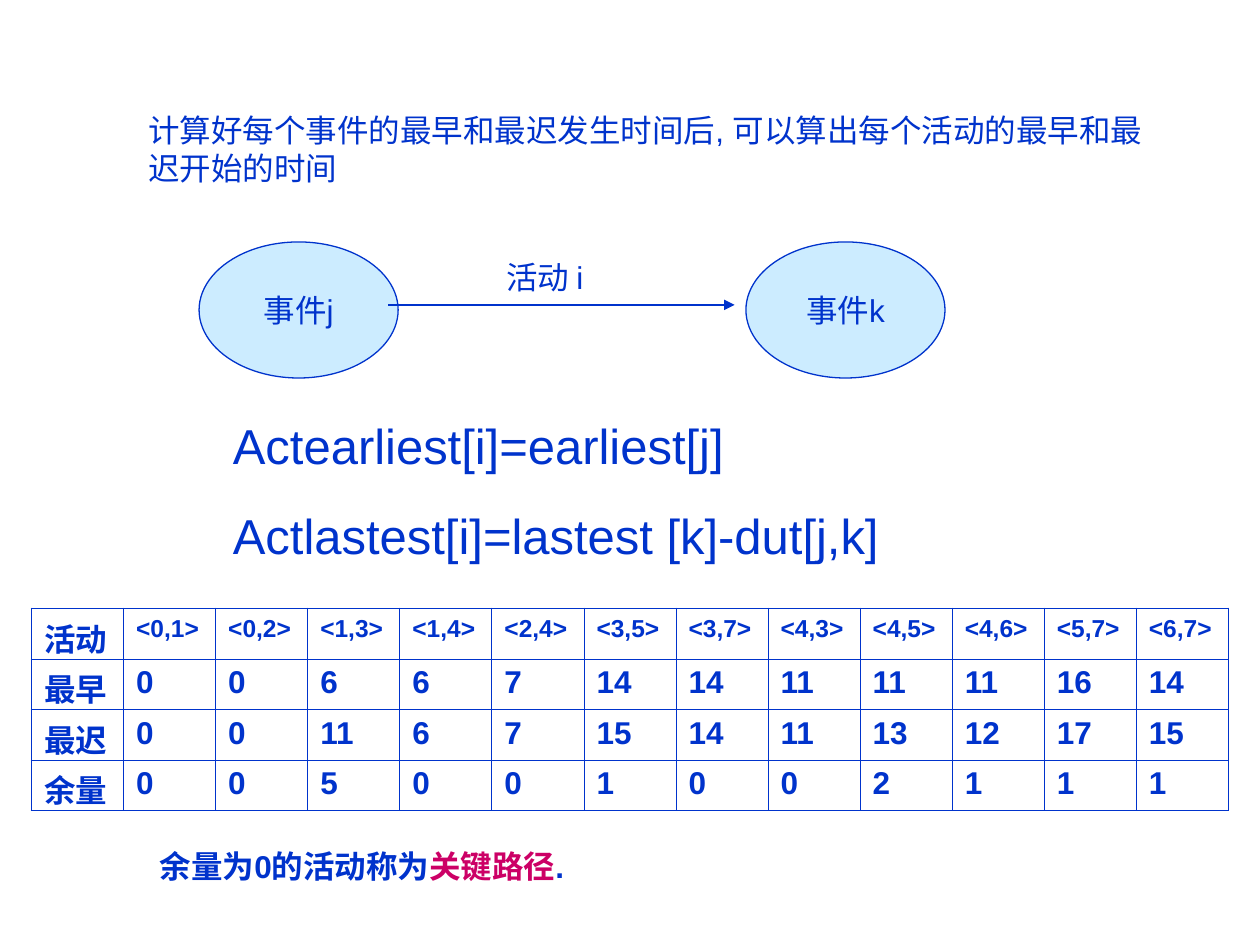
import pptx
import pptx.dml.color
import pptx.enum.shapes
import pptx.enum.text
import pptx.oxml
import pptx.oxml.ns
import pptx.util
from pptx.util import Inches, Pt

BLUE, PALE_BLUE, MAGENTA = "0033CC", "CCECFF", "CC0066"
FONT = "Arial"
THIN, THICK = 0.45, 1.08

# (left, top, width, height), size, bold, space before, paragraphs of (text, colour) runs
TEXTS = [
    ((1.08, 0.83, 8.17, 0.7), 18, False, 11.2,
     [[("计算好每个事件的最早和最迟发生时间后, 可以算出每个活动的最早和最迟开始的时间", BLUE)]]),
    ((3.92, 2, 1.67, 0.4), 18, False, 11.2, [[("活动 i", BLUE)]]),
    ((1.75, 3.25, 6.08, 1.28), 28, False, 17.5,
     [[("Actearliest[i]=earliest[j]", BLUE)],
      [("Actlastest[i]=lastest [k]-dut[j,k]", BLUE)]]),
    ((1.17, 6.67, 7.83, 0.4), 18, True, 11.2,
     [[("余量为0的活动称为", BLUE), ("关键路径", MAGENTA), (".", BLUE)]]),
]
EVENTS = [("事件j", 1.58), ("事件k", 5.92)]
ACTIVITY_ROWS = [
    ["活动", "<0,1>", "<0,2>", "<1,3>", "<1,4>", "<2,4>", "<3,5>",
     "<3,7>", "<4,3>", "<4,5>", "<4,6>", "<5,7>", "<6,7>"],
    ["最早", 0, 0, 6, 6, 7, 14, 14, 11, 11, 11, 16, 14],
    ["最迟", 0, 0, 11, 6, 7, 15, 14, 11, 13, 12, 17, 15],
    ["余量", 0, 0, 5, 0, 0, 1, 0, 0, 2, 1, 1, 1],
]


def rgb(value):
    return pptx.dml.color.RGBColor.from_string(value)


def add_run(paragraph, text, size, colour=BLUE, bold=False):
    run = paragraph.add_run()
    run.text = str(text)
    run.font.name = FONT
    run.font.size = Pt(size)
    run.font.bold = bold
    run.font.color.rgb = rgb(colour)


def add_text(slide, box, size, bold, space_before, paragraphs):
    frame = slide.shapes.add_textbox(*map(Inches, box)).text_frame
    frame.word_wrap = True
    for index, runs in enumerate(paragraphs):
        paragraph = frame.add_paragraph() if index else frame.paragraphs[0]
        paragraph.space_before = Pt(space_before)
        for text, colour in runs:
            add_run(paragraph, text, size, colour, bold)


def add_event(slide, label, left):
    ellipse = slide.shapes.add_shape(
        pptx.enum.shapes.MSO_SHAPE.OVAL,
        Inches(left), Inches(1.92), Inches(1.58), Inches(1.08))
    ellipse.shadow.inherit = False
    ellipse.fill.solid()
    ellipse.fill.fore_color.rgb = rgb(PALE_BLUE)
    ellipse.line.color.rgb = rgb(BLUE)
    ellipse.line.width = Pt(0.75)
    frame = ellipse.text_frame
    frame.word_wrap = False
    frame.vertical_anchor = pptx.enum.text.MSO_ANCHOR.MIDDLE
    paragraph = frame.paragraphs[0]
    paragraph.alignment = pptx.enum.text.PP_ALIGN.CENTER
    add_run(paragraph, label, 18)


def add_activity_arrow(slide):
    arrow = slide.shapes.add_connector(
        pptx.enum.shapes.MSO_CONNECTOR.STRAIGHT,
        Inches(3.08), Inches(2.42), Inches(5.83), Inches(2.42))
    arrow.line.color.rgb = rgb(BLUE)
    arrow.line.width = Pt(0.75)
    properties = arrow.element.spPr
    line = properties.find(pptx.oxml.ns.qn("a:ln"))
    line.append(pptx.oxml.parse_xml(
        f'<a:tailEnd {pptx.oxml.ns.nsdecls("a")} type="triangle"/>'))
    properties.append(pptx.oxml.parse_xml(
        f'<a:effectLst {pptx.oxml.ns.nsdecls("a")}/>'))


def set_borders(cell, widths):
    """Draw the cell's borders; widths maps L, R, T, B (in that order) to points."""
    properties = cell._tc.get_or_add_tcPr()
    for side, width in widths.items():
        properties.append(pptx.oxml.parse_xml(
            f'<a:ln{side} {pptx.oxml.ns.nsdecls("a")} w="{Pt(width)}">'
            f'<a:solidFill><a:srgbClr val="{BLUE}"/></a:solidFill></a:ln{side}>'))


def add_activity_table(slide):
    row_count, column_count = len(ACTIVITY_ROWS), len(ACTIVITY_ROWS[0])
    width, height = Inches(9.5), Inches(1.6)
    table = slide.shapes.add_table(
        row_count, column_count, Inches(0.25), Inches(4.83), width, height).table
    table.first_row = table.horz_banding = False
    for column in table.columns:
        column.width = width // column_count
    for row_index, values in enumerate(ACTIVITY_ROWS):
        table.rows[row_index].height = height // row_count
        for column_index, value in enumerate(values):
            cell = table.cell(row_index, column_index)
            outer = {"L": column_index == 0, "R": column_index == column_count - 1,
                     "T": row_index == 0, "B": row_index == row_count - 1}
            set_borders(cell, {side: THICK if edge else THIN
                               for side, edge in outer.items()})
            cell.fill.background()
            activity_name = row_index == 0 and column_index > 0
            size, space_before = (14, 3.5) if activity_name else (18, 4.5)
            paragraph = cell.text_frame.paragraphs[0]
            paragraph.space_before = Pt(space_before)
            add_run(paragraph, value, size, bold=True)


def main():
    presentation = pptx.Presentation()
    presentation.slide_width, presentation.slide_height = Inches(10), Inches(7.5)
    slide = presentation.slides.add_slide(presentation.slide_layouts[6])
    for label, left in EVENTS:
        add_event(slide, label, left)
    add_activity_arrow(slide)
    for text in TEXTS:
        add_text(slide, *text)
    add_activity_table(slide)
    presentation.save("out.pptx")


if __name__ == "__main__":
    main()
